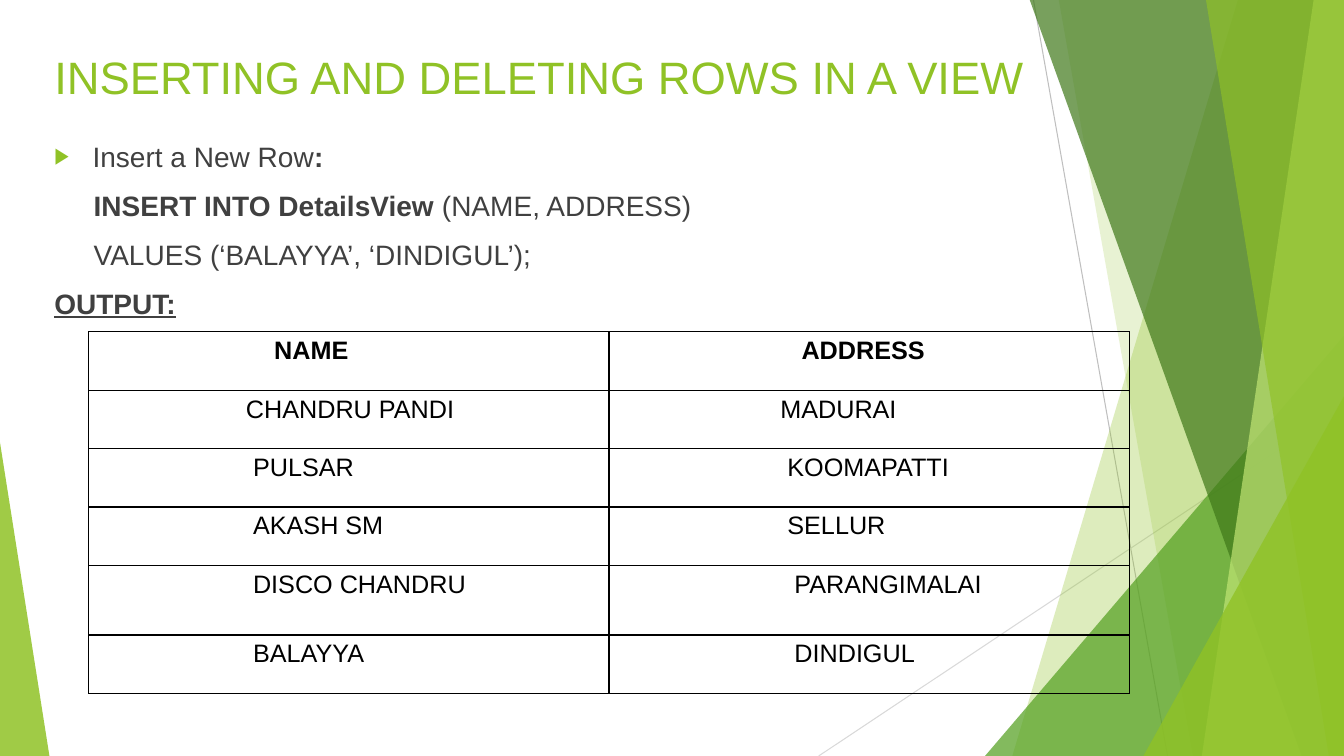
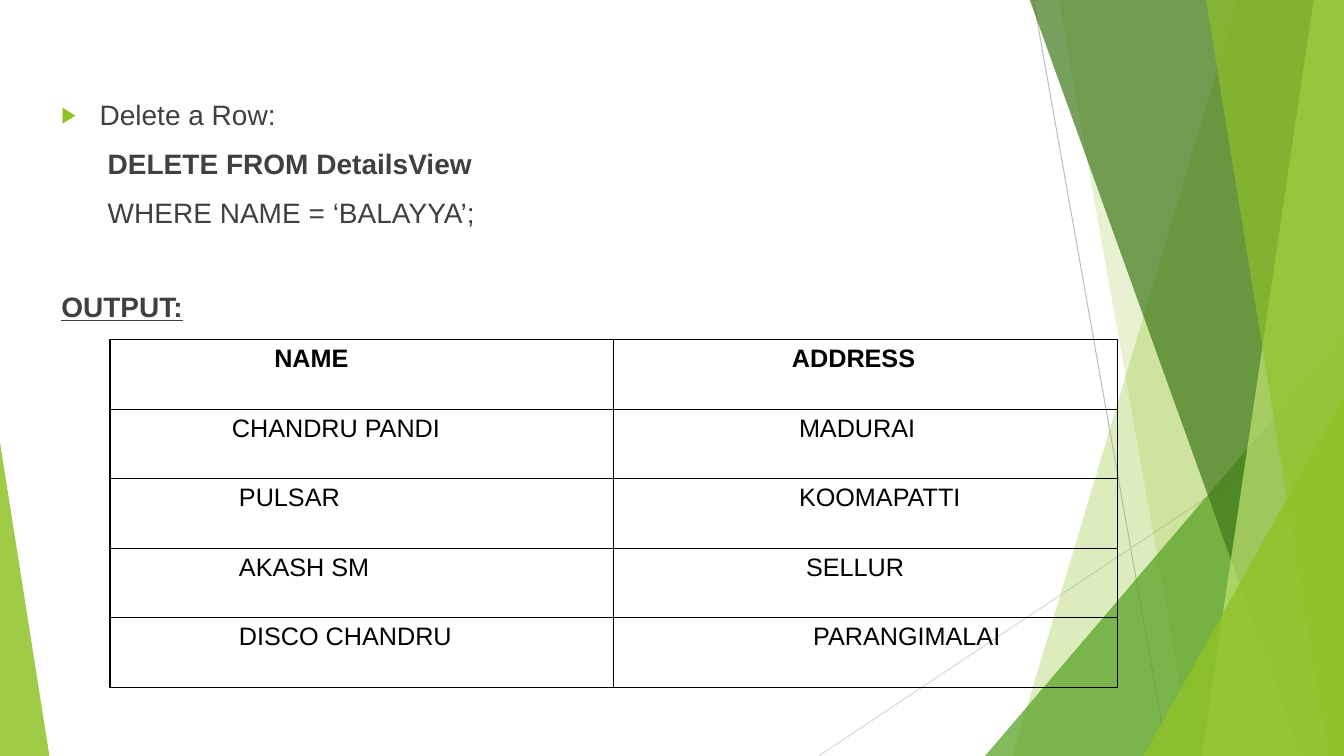
from lxml import etree
from pptx import Presentation
from pptx.dml.color import RGBColor
from pptx.enum import shapes, text
from pptx.oxml import ns
from pptx.util import Inches, Pt

FONT = "Arial"
LIME = RGBColor(0x90, 0xC2, 0x26)
GREEN = RGBColor(0x54, 0xA0, 0x21)
DARK_GREEN = RGBColor(0x3F, 0x78, 0x19)
PALE_GREEN = RGBColor(0xC0, 0xE4, 0x74)
SILVER = RGBColor(0xBF, 0xBF, 0xBF)
LIGHT_GREY = RGBColor(0xD9, 0xD9, 0xD9)
BODY_GREY = RGBColor(0x40, 0x40, 0x40)
BLACK = RGBColor(0, 0, 0)

WIDTH, HEIGHT, BLEED = 13.33, 7.5, -0.01

# start, end, colour
RAYS = [
    ((10.25, 0), (11.58, HEIGHT), SILVER),
    ((WIDTH, 4.03), (8.12, HEIGHT), LIGHT_GREY),
]
# Bands run to the right edge: ("band", top x, bottom x, colour, opacity %)
# Triangles stand on the bottom edge: ("triangle", left, width, height, apex, colour, opacity %)
FACETS = [
    ("band", 12.28, 10.04, LIME, 30),
    ("band", 10.5, 11.83, LIME, 20),
    ("triangle", 9.77, 3.56, 4.17, 1, GREEN, 72),
    ("band", 10.21, 12.91, DARK_GREEN, 70),
    ("band", 13.03, 11.92, PALE_GREEN, 70),
    ("band", 11.96, 13.18, LIME, 65),
    ("triangle", 11.34, 1.99, 3.57, 1, LIME, 80),
    ("triangle", 0, 0.49, 3.11, 0, LIME, 85),
]

# Body lines: (indent, space before, [(text, bold, underline)]); the first line has the bullet
# Table rows: (height, name, name indent, address, address indent)
SLIDES = [
    {
        "title": "INSERTING AND DELETING ROWS IN A VIEW",
        "body_at": (0.44, 1.33, 11.48, 6.15),
        "lines": [
            (0.38, 0, [("Insert a New Row", False, False), (":", True, False)]),
            (0.39, 11, [("INSERT INTO DetailsView ", True, False),
                        ("(NAME, ADDRESS)", False, False)]),
            (0.39, 11, [("VALUES (‘BALAYYA’, ‘DINDIGUL’);", False, False)]),
            (0, 11, [("OUTPUT:", True, True)]),
        ],
        "table_at": (0.88, 3.29, 10.32),
        "rows": [
            (0.58, "NAME", 1.74, "ADDRESS", 1.81),
            (0.58, "CHANDRU PANDI", 1.46, "MADURAI", 1.6),
            (0.58, "PULSAR", 1.53, "KOOMAPATTI", 1.67),
            (0.58, "AKASH SM", 1.53, "SELLUR", 1.67),
            (0.69, "DISCO CHANDRU", 1.53, "PARANGIMALAI", 1.74),
            (0.58, "BALAYYA", 1.53, "DINDIGUL", 1.74),
        ],
    },
    {
        "title": None,
        "body_at": (0.51, 0.92, 11.1, 6.35),
        "lines": [
            (0.38, 0, [("Delete a Row:", False, False)]),
            (0.46, 11, [("DELETE FROM DetailsView", True, False)]),
            (0.46, 11, [("WHERE NAME = ‘BALAYYA’;", False, False)]),
            (0, 43, [("OUTPUT:", True, True)]),
        ],
        "table_at": (1.09, 3.37, 9.99),
        "rows": [
            (0.69, "NAME", 1.53, "ADDRESS", 1.67),
            (0.69, "CHANDRU PANDI", 1.11, "MADURAI", 1.74),
            (0.69, "PULSAR", 1.18, "KOOMAPATTI", 1.74),
            (0.69, "AKASH SM", 1.18, "SELLUR", 1.81),
            (0.69, "DISCO CHANDRU", 1.18, "PARANGIMALAI", 1.88),
        ],
    },
]


def add_element(parent, tag, **attributes):
    return etree.SubElement(parent, ns.qn(tag), attributes)


def set_font(font, size, color):
    font.name, font.size, font.color.rgb = FONT, Pt(size), color


deck = Presentation()
deck.slide_width, deck.slide_height = Inches(WIDTH), Inches(HEIGHT)

for content in SLIDES:
    page = deck.slides.add_slide(deck.slide_layouts[6])

    # Faceted background
    for start, end, color in RAYS:
        ray = page.shapes.add_connector(
            shapes.MSO_CONNECTOR.STRAIGHT, *map(Inches, start + end))
        ray.line.color.rgb, ray.line.width = color, Pt(0.75)
        add_element(ray._element.spPr, "a:effectLst")
    for kind, *measures, color, opacity in FACETS:
        if kind == "band":
            top_x, bottom_x = measures
            outline = page.shapes.build_freeform(Inches(top_x), Inches(BLEED))
            corners = [(WIDTH, BLEED), (WIDTH, HEIGHT), (bottom_x, HEIGHT)]
            outline.add_line_segments([(Inches(x), Inches(y)) for x, y in corners])
            facet = outline.convert_to_shape()
        else:
            left, width, height, apex = measures
            facet = page.shapes.add_shape(
                shapes.MSO_SHAPE.ISOSCELES_TRIANGLE,
                *map(Inches, (left, HEIGHT - height, width, height)))
            facet.adjustments[0] = apex
        facet.shadow.inherit = False
        facet.line.fill.background()
        facet.fill.solid()
        facet.fill.fore_color.rgb = color
        tint = facet._element.spPr.find(".//" + ns.qn("a:srgbClr"))
        add_element(tint, "a:alpha", val=str(opacity * 1000))

    # Title
    if content["title"]:
        box = page.shapes.add_textbox(*map(Inches, (0.44, 0.41, 10.03, 0.69)))
        box.text_frame.word_wrap = True
        box.text_frame.vertical_anchor = text.MSO_ANCHOR.MIDDLE
        para = box.text_frame.paragraphs[0]
        para.text = content["title"]
        set_font(para.font, 32.4, LIME)

    # Body
    box = page.shapes.add_textbox(*map(Inches, content["body_at"]))
    frame = box.text_frame
    frame.word_wrap = True
    for number, (indent, space, spans) in enumerate(content["lines"]):
        para = frame.add_paragraph() if number else frame.paragraphs[0]
        para.space_before = Pt(space)
        properties = para._p.get_or_add_pPr()
        properties.set("marL", str(Inches(indent)))
        if number == 0:
            properties.set("indent", str(-Inches(indent)))
            bullet_color = add_element(properties, "a:buClr")
            add_element(bullet_color, "a:srgbClr", val=str(LIME))
            add_element(properties, "a:buSzPct", val="80000")
            add_element(properties, "a:buFont", typeface=FONT)
            add_element(properties, "a:buChar", char="▶")
        set_font(para.font, 20, BODY_GREY)
        for words, bold, underline in spans:
            span = para.add_run()
            span.text = words
            span.font.bold, span.font.underline = bold, underline

    # Output table
    rows = content["rows"]
    left, top, width = content["table_at"]
    height = sum(row[0] for row in rows)
    table = page.shapes.add_table(
        len(rows), 2, *map(Inches, (left, top, width, height))).table
    table.first_row = table.horz_banding = False
    for column in table.columns:
        column.width = Inches(width / 2)
    for number, (row_height, name, name_indent, address, address_indent) in enumerate(rows):
        table.rows[number].height = Inches(row_height)
        entries = [(name, name_indent), (address, address_indent)]
        for cell, (words, indent) in zip(table.rows[number].cells, entries):
            cell.margin_left = Inches(0.1 + indent)
            para = cell.text_frame.paragraphs[0]
            para.text = words
            set_font(para.font, 18, BLACK)
            para.font.bold = number == 0
            cell_properties = cell._tc.get_or_add_tcPr()
            for side in ("a:lnL", "a:lnR", "a:lnT", "a:lnB"):
                border = add_element(cell_properties, side, w=str(Pt(1)))
                ink = add_element(border, "a:solidFill")
                add_element(ink, "a:srgbClr", val=str(BLACK))
            cell.fill.background()

deck.save("out.pptx")
